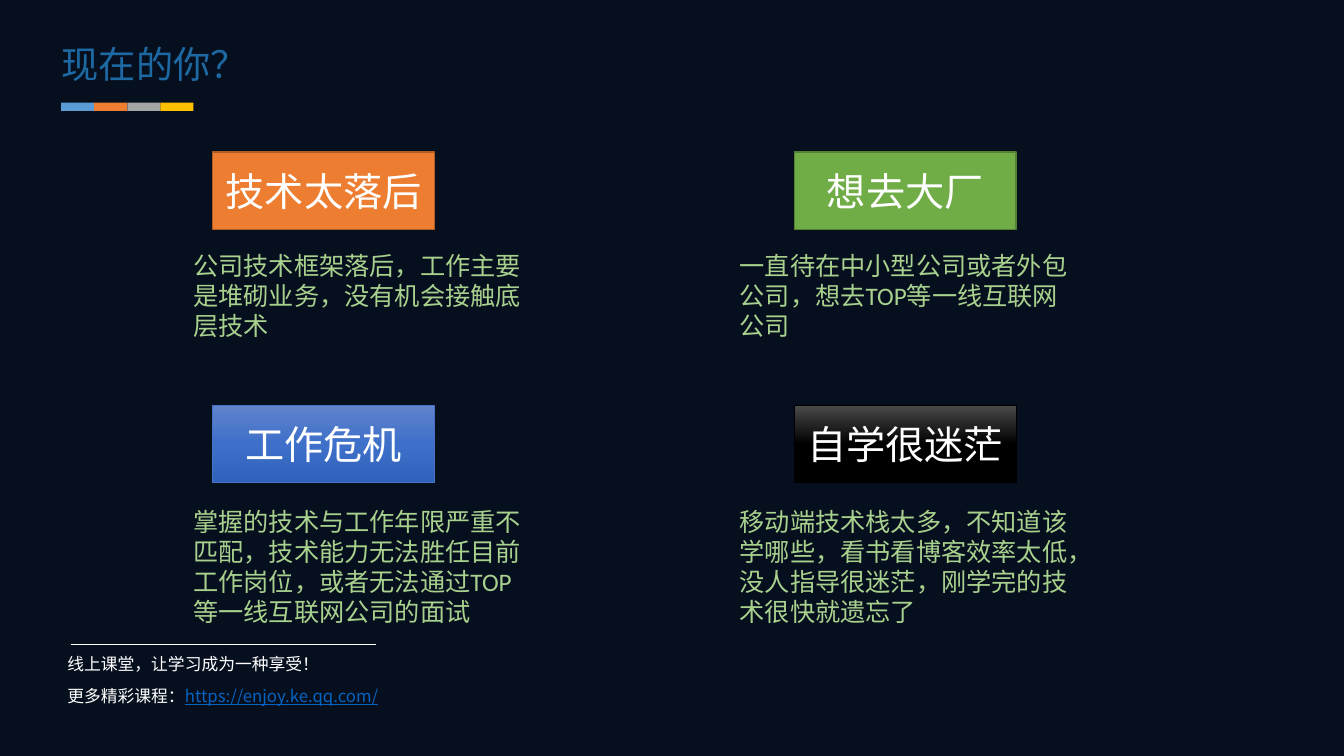
"""Build the slide 现在的你？ with four labelled problem cards."""
import copy

import lxml.etree
import pptx
import pptx.dml.color
import pptx.enum.lang
import pptx.enum.shapes
import pptx.enum.text
import pptx.oxml.ns
import pptx.util

Pt = pptx.util.Pt

COLORS = {
    "background": "060F1E", "white": "FFFFFF", "title": "1D69A3",
    "body": "A9D18E", "link": "0563C1",
}
CJK_FONT = "Noto Sans CJK SC"
TITLE = "现在的你？"
STRIPES = ["5B9BD5", "ED7D31", "A5A5A5", "FFC000"]
CARDS = [
    ("技术太落后", ["ED7D31"], "AF5C24", 1,
     ["公司技术框架落后，工作主要", "是堆砌业务，没有机会接触底层技术"]),
    ("想去大厂", ["70AD47"], "538035", 1,
     ["一直待在中小型公司或者外包公司，想去TOP等一线互联网公司"]),
    ("工作危机", ["6183CB", "3E70CA", "3062BB"], "4472C4", 0.5,
     ["掌握的技术与工作年限严重不匹配，技术能力无法胜任目前工作岗位，"
      "或者无法通过TOP等一线互联网公司的面试"]),
    ("自学很迷茫", ["4B4B4B", "000000", "000000"], "000000", 0.5,
     ["移动端技术栈太多，不知道该学哪些，看书看博客效率太低，"
      "没人指导很迷茫，刚学完的技术很快就遗忘了"]),
]
FOOTER = [
    (463.7, [("线上课堂，让学习成为一种享受！", "white")]),
    (486, [("更多精彩课程：", "white"), ("https://enjoy.ke.qq.com/", "link")]),
]
LABEL_X, BODY_X = (152, 567.4), (131, 521.3)
LABEL_Y, BODY_Y, BODY_H = (108.7, 289.4), (175, 357.8), (72.7, 94.3)


def rgb(value):
    return pptx.dml.color.RGBColor.from_string(value)


def set_font(font, size, color, name):
    font.size, font.name = Pt(size), name
    font.color.rgb = rgb(color)
    font.language_id = pptx.enum.lang.MSO_LANGUAGE_ID.SIMPLIFIED_CHINESE


def add_rect(slide, box, fills):
    sp = slide.shapes.add_shape(
        pptx.enum.shapes.MSO_SHAPE.RECTANGLE, *map(Pt, box))
    sp.shadow.inherit = False
    if len(fills) == 1:
        sp.fill.solid()
        sp.fill.fore_color.rgb = rgb(fills[0])
    else:
        sp.fill.gradient()
        sp.fill.gradient_angle = 270
        stops = sp._element.spPr.find(".//" + pptx.oxml.ns.qn("a:gsLst"))
        stops.append(copy.deepcopy(stops[-1]))
        for i, (stop, color) in enumerate(zip(sp.fill.gradient_stops, fills)):
            stop.position = i / (len(fills) - 1)
            stop.color.rgb = rgb(color)
    sp.line.fill.background()
    return sp


def add_text(slide, box):
    tf = slide.shapes.add_textbox(*map(Pt, box)).text_frame
    tf.word_wrap = True
    return tf


def add_title(slide):
    sp = slide.shapes.title
    sp.left, sp.top, sp.width, sp.height = map(Pt, (44, 29.5, 291.6, 32.4))
    tf = sp.text_frame
    tf.text = TITLE
    tf.auto_size = pptx.enum.text.MSO_AUTO_SIZE.NONE
    tf.vertical_anchor = pptx.enum.text.MSO_ANCHOR.MIDDLE
    tf.margin_left = tf.margin_right = tf.margin_top = tf.margin_bottom = 0
    p = tf.paragraphs[0]
    p.alignment = pptx.enum.text.PP_ALIGN.LEFT
    set_font(p.runs[0].font, 26.6, COLORS["title"], CJK_FONT)
    for i, color in enumerate(STRIPES):
        add_rect(slide, (43.7 + i * 23.6, 73.4, 23.6, 5.8), [color])


def add_card(slide, index):
    label, fills, outline, width, body = CARDS[index]
    row, col = divmod(index, 2)
    sp = add_rect(slide, (LABEL_X[col], LABEL_Y[row], 158.4, 55.4), fills)
    sp.line.color.rgb, sp.line.width = rgb(outline), Pt(width)
    tf = sp.text_frame
    tf.text = label
    tf.vertical_anchor = pptx.enum.text.MSO_ANCHOR.MIDDLE
    p = tf.paragraphs[0]
    p.alignment = pptx.enum.text.PP_ALIGN.CENTER
    set_font(p.runs[0].font, 28, COLORS["white"], "Calibri")
    tf = add_text(slide, (BODY_X[col], BODY_Y[row], 249.8, BODY_H[row]))
    tf.text = "\n".join(body)
    for p in tf.paragraphs:
        set_font(p.runs[0].font, 18, COLORS["body"], "Calibri")


def add_footer(slide):
    line = slide.shapes.add_connector(
        pptx.enum.shapes.MSO_CONNECTOR.STRAIGHT,
        *map(Pt, (50.4, 460.1, 268.6, 460.1)))
    line.line.color.rgb, line.line.width = rgb(COLORS["white"]), Pt(0.5)
    lxml.etree.SubElement(
        line._element.spPr, pptx.oxml.ns.qn("a:effectLst"))
    for top, runs in FOOTER:
        tf = add_text(slide, (41, top, 301, 21.6))
        tf.vertical_anchor = pptx.enum.text.MSO_ANCHOR.MIDDLE
        for text, color in runs:
            r = tf.paragraphs[0].add_run()
            r.text = text
            set_font(r.font, 12, COLORS[color], CJK_FONT)
            if color == "link":
                r.font.underline = True


def main():
    prs = pptx.Presentation()
    prs.slide_width, prs.slide_height = Pt(960), Pt(540)
    slide = prs.slides.add_slide(prs.slide_layouts[5])
    slide.background.fill.solid()
    slide.background.fill.fore_color.rgb = rgb(COLORS["background"])
    add_title(slide)
    for index in range(len(CARDS)):
        add_card(slide, index)
    add_footer(slide)
    prs.save("out.pptx")


if __name__ == "__main__":
    main()
